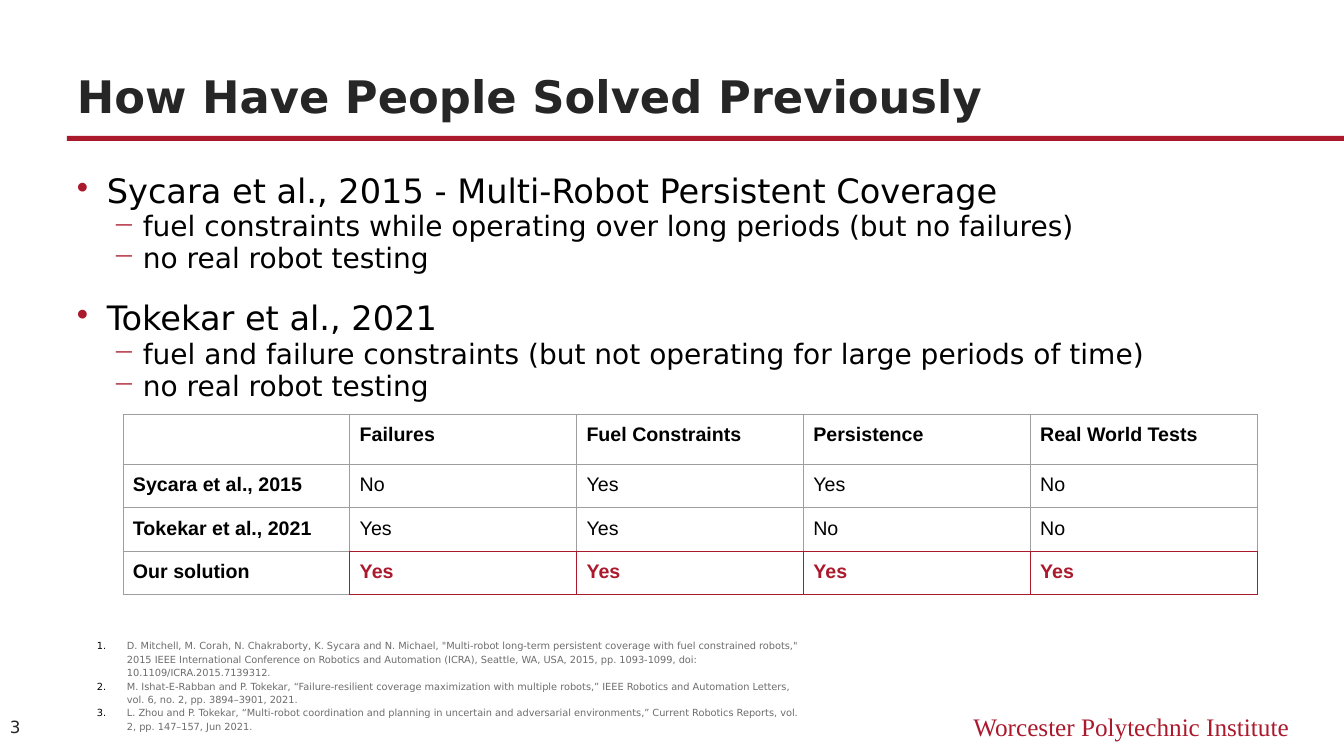
from lxml import etree
from pptx import Presentation, util as u
from pptx.dml.color import RGBColor
from pptx.enum import shapes, text
from pptx.oxml.ns import qn

SCALE = 914400 / 100.8
HUES = {"red": "AB192D", "ink": "262626", "black": "000000",
        "gray": "6D6D6D", "rule": "9E9E9E"}
SANS = "DejaVu Sans"

TITLE = "How Have People Solved Previously"
SCHOOL = "Worcester Polytechnic Institute"
WORKS = [
    ("Sycara et al., 2015 - Multi-Robot Persistent Coverage",
     ["fuel constraints while operating over long periods (but no failures)",
      "no real robot testing"]),
    ("Tokekar et al., 2021",
     ["fuel and failure constraints (but not operating for large periods of time)",
      "no real robot testing"]),
]
ROWS = [
    ["", "Failures", "Fuel Constraints", "Persistence", "Real World Tests"],
    ["Sycara et al., 2015", "No", "Yes", "Yes", "No"],
    ["Tokekar et al., 2021", "Yes", "Yes", "No", "No"],
    ["Our solution", "Yes", "Yes", "Yes", "Yes"],
]
HEIGHTS = [49, 42, 42, 42]
REFS = [
    'D. Mitchell, M. Corah, N. Chakraborty, K. Sycara and N. Michael, "Multi-robot long-term '
    'persistent coverage with fuel constrained robots," 2015 IEEE International Conference on '
    'Robotics and Automation (ICRA), Seattle, WA, USA, 2015, pp. 1093-1099, doi: '
    '10.1109/ICRA.2015.7139312.',
    'M. Ishat-E-Rabban and P. Tokekar, “Failure-resilient coverage maximization with multiple '
    'robots,” IEEE Robotics and Automation Letters, vol. 6, no. 2, pp. 3894–3901, 2021.',
    'L. Zhou and P. Tokekar, “Multi-robot coordination and planning in uncertain and adversarial '
    'environments,” Current Robotics Reports, vol. 2, pp. 147–157, Jun 2021.',
]


def px(n):
    return u.Emu(round(n * SCALE))


def color(name):
    return RGBColor.from_string(HUES[name])


def hue(parent, name):
    fill = etree.SubElement(parent, qn("a:solidFill"))
    etree.SubElement(fill, qn("a:srgbClr"), val=HUES[name])


def mark(para, sign, tint, left, hang=30):
    """Give a paragraph a hanging bullet, or a number when sign is None."""
    props = para._p.get_or_add_pPr()
    props.set("marL", str(px(left)))
    props.set("indent", str(-px(hang)))
    tone = etree.SubElement(props, qn("a:buClr"))
    etree.SubElement(tone, qn("a:srgbClr"), val=HUES[tint])
    if sign:
        etree.SubElement(props, qn("a:buChar"), char=sign)
    else:
        etree.SubElement(props, qn("a:buAutoNum"), type="arabicPeriod")


def write(para, words, size=14, font=SANS, tint="black", bold=False,
          align=None, lead=None, before=None):
    if align is not None:
        para.alignment = align
    if lead:
        para.line_spacing = lead
    if before:
        para.space_before = u.Pt(before)
    run = para.add_run()
    run.text = words
    run.font.size = u.Pt(size)
    run.font.name = font
    run.font.bold = bold
    run.font.color.rgb = color(tint)


def box(slide, left, top, width, height, anchor=text.MSO_ANCHOR.TOP):
    frame = slide.shapes.add_textbox(*map(px, (left, top, width, height))).text_frame
    frame.word_wrap = True
    frame.vertical_anchor = anchor
    return frame


def add(frame):
    first = frame.paragraphs[0]
    return frame.add_paragraph() if first.runs else first


def edge(cell, **sides):
    """Draw the cell borders; sides maps L, R, T, B to a colour name."""
    props = cell._tc.get_or_add_tcPr()
    for spot, (side, name) in enumerate(sides.items()):
        line = etree.Element(qn("a:ln" + side), w=str(u.Pt(0.75)))
        hue(line, name)
        props.insert(spot, line)


def grid(slide):
    table = slide.shapes.add_table(len(ROWS), len(ROWS[0]), px(123), px(414),
                                   px(1134), px(sum(HEIGHTS))).table
    table.first_row = table.horz_banding = False
    last = len(ROWS) - 1
    for r, row in enumerate(ROWS):
        table.rows[r].height = px(HEIGHTS[r])
        for c, words in enumerate(row):
            cell = table.cell(r, c)
            cell.fill.background()
            cell.margin_left = cell.margin_right = px(10)
            cell.margin_top = cell.margin_bottom = px(10)
            ours = r == last and c > 0
            own = "red" if ours else "rule"
            edge(cell, L=own, R="red" if r == last else "rule", T=own,
                 B="red" if ours or (r == last - 1 and c) else "rule")
            if words:
                write(cell.text_frame.paragraphs[0], words, font="Arial",
                      tint="red" if ours else "black",
                      bold=r in (0, last) or c == 0)


def main():
    deck = Presentation()
    deck.slide_width, deck.slide_height = px(1344), px(756)
    slide = deck.slides.add_slide(deck.slide_layouts[6])

    bar = slide.shapes.add_shape(shapes.MSO_SHAPE.RECTANGLE,
                                 px(67), px(136), px(1277), px(5))
    bar.shadow.inherit = False
    bar.fill.solid()
    bar.fill.fore_color.rgb = color("red")
    bar.line.fill.background()

    write(add(box(slide, 806, 706, 493, 40)), SCHOOL, size=18,
          font="Times New Roman", tint="red", align=text.PP_ALIGN.RIGHT)
    write(add(box(slide, 67, 38, 1210, 89, text.MSO_ANCHOR.BOTTOM)), TITLE,
          size=32, tint="ink", bold=True)

    body = box(slide, 67, 168, 1210, 247)
    for n, (work, notes) in enumerate(WORKS):
        para = add(body)
        mark(para, "•", "red", 30)
        write(para, work, size=24, lead=0.95, before=18 * n)
        for note in notes:
            para = add(body)
            mark(para, "─", "red", 66)
            write(para, note, size=20, lead=0.95)

    write(add(box(slide, 0, 705, 67, 43, text.MSO_ANCHOR.MIDDLE)), "3",
          size=12, tint="ink")

    refs = box(slide, 67, 633, 750, 106)
    for ref in REFS:
        para = add(refs)
        mark(para, None, "black", 50)
        write(para, ref, size=7, tint="gray", lead=1.15)
        etree.SubElement(para._p, qn("a:endParaRPr"), sz="700", b="1")

    grid(slide)
    deck.save("out.pptx")


if __name__ == "__main__":
    main()
